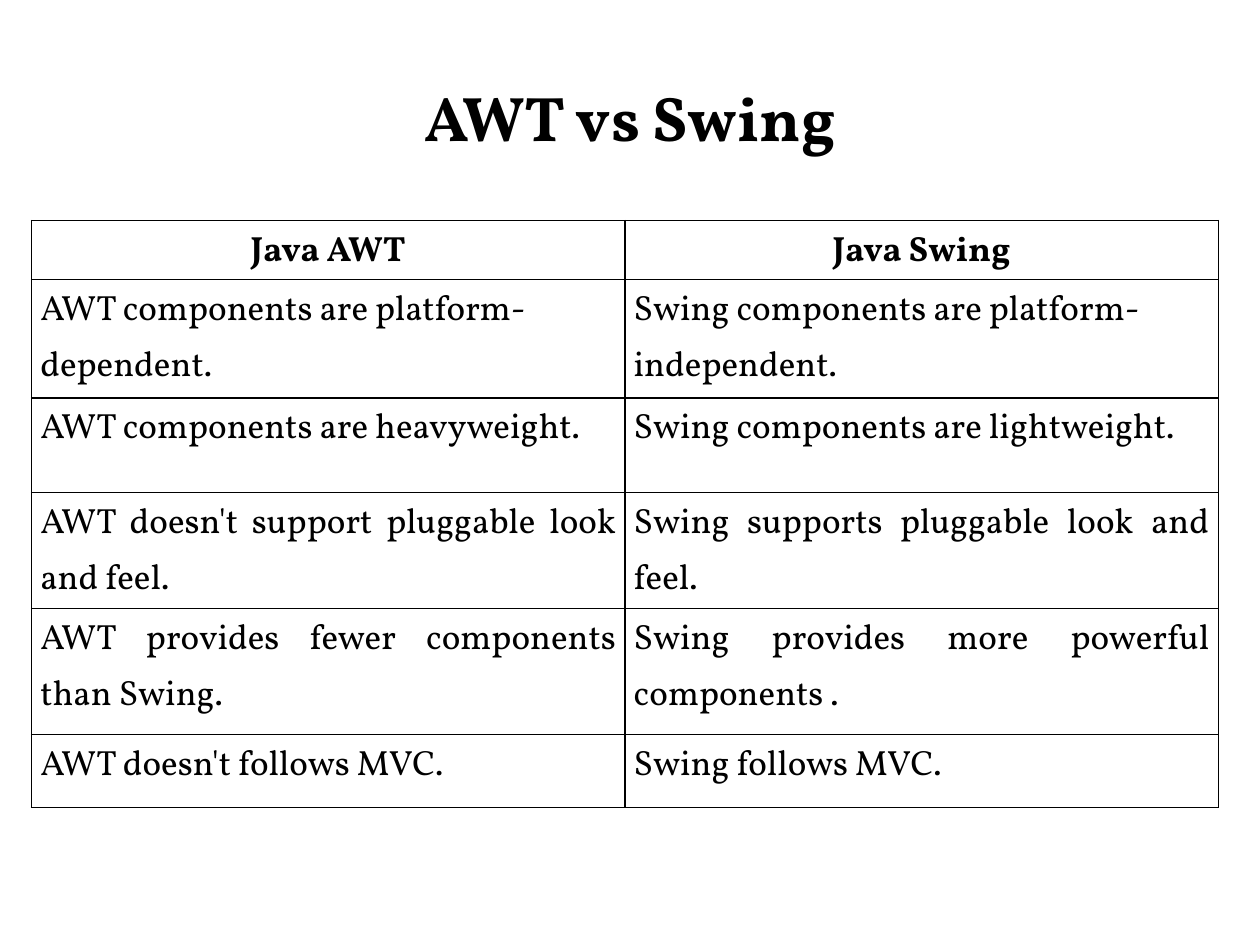
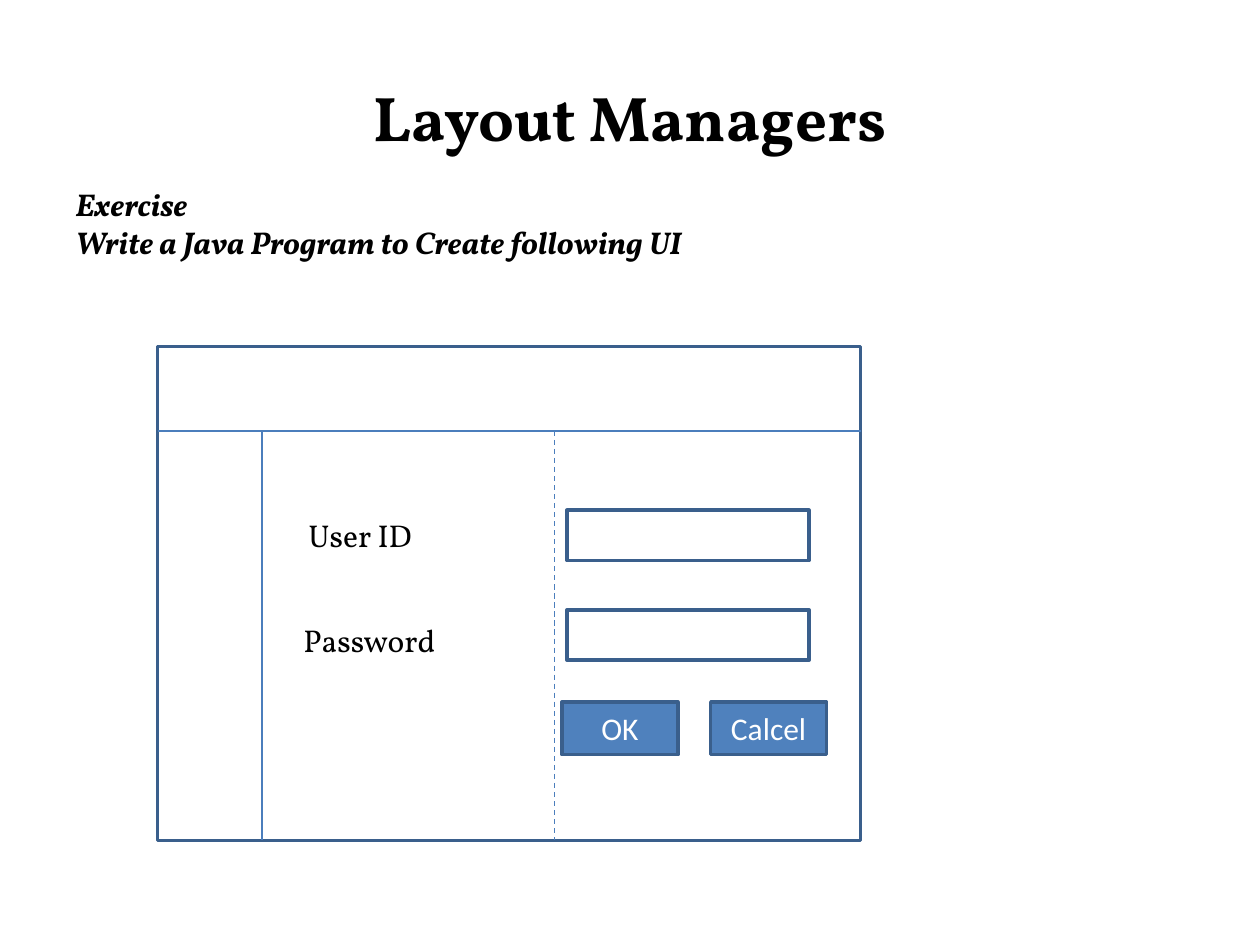
from dataclasses import dataclass

from lxml.etree import SubElement
from pptx import Presentation
from pptx.dml.color import RGBColor
from pptx.enum.dml import MSO_LINE
from pptx.enum.shapes import MSO_CONNECTOR, MSO_SHAPE
from pptx.enum.text import MSO_ANCHOR, PP_ALIGN
from pptx.oxml import parse_xml
from pptx.oxml.ns import nsdecls, qn
from pptx.presentation import Presentation as Deck
from pptx.slide import Slide
from pptx.util import Inches, Pt

COLORS = {
    "ink": "000000",
    "paper": "FFFFFF",
    "button": "4F81BD",
    "outline": "3A5F8C",
    "divider": "4B7EBC",
}
SERIF, SANS = "Vollkorn", "Calibri"


@dataclass(frozen=True)
class TextStyle:
    size: float
    font: str = SERIF
    color: str = "ink"
    bold: bool = False
    italic: bool = False
    align: PP_ALIGN = PP_ALIGN.LEFT


@dataclass(frozen=True)
class Box:
    left: float
    top: float
    width: float
    height: float

    @property
    def right(self) -> float:
        return self.left + self.width

    @property
    def bottom(self) -> float:
        return self.top + self.height

    def lengths(self) -> list[Inches]:
        return [Inches(n) for n in (self.left, self.top, self.width, self.height)]


@dataclass(frozen=True)
class Divider:
    x1: float
    y1: float
    x2: float
    y2: float
    dashed: bool = False


@dataclass(frozen=True)
class ComparisonRow:
    awt: str
    swing: str
    height: float
    align: PP_ALIGN = PP_ALIGN.JUSTIFY
    bold: bool = False


TITLE = TextStyle(36, bold=True, align=PP_ALIGN.CENTER)
EXERCISE = TextStyle(18, bold=True, italic=True, align=PP_ALIGN.JUSTIFY)
LABEL = TextStyle(18)
BUTTON = TextStyle(18, SANS, "paper", align=PP_ALIGN.CENTER)

# Non-breaking spaces hold word pairs together in the justified cells.
COMPARISON = [
    ComparisonRow("Java AWT", "Java Swing", 0.47, PP_ALIGN.CENTER, True),
    ComparisonRow("AWT components are platform-dependent.",
                  "Swing components are platform-independent.", 0.94, PP_ALIGN.LEFT),
    ComparisonRow("AWT components are heavyweight.",
                  "Swing components are lightweight.", 0.75),
    ComparisonRow("AWT doesn't support pluggable look and feel.",
                  "Swing supports pluggable look and feel.", 0.92),
    ComparisonRow("AWT provides fewer components than Swing.",
                  "Swing provides more powerful components .", 1),
    ComparisonRow("AWT doesn't follows MVC.", "Swing follows MVC.", 0.58),
]

WINDOW = Box(1.25, 2.75, 5.58, 3.92)
HEADER_BOTTOM = 3.42
DIVIDERS = [
    Divider(WINDOW.left, HEADER_BOTTOM, WINDOW.right, HEADER_BOTTOM),
    Divider(2.08, HEADER_BOTTOM, 2.08, WINDOW.bottom),
    Divider(4.4, HEADER_BOTTOM, 4.4, WINDOW.bottom, dashed=True),
]
LABELS = {"User ID": Box(2.35, 4.05, 1.67, 0.4), "Password": Box(2.31, 4.88, 1.67, 0.4)}
FIELDS = [Box(4.5, top, 1.92, 0.4) for top in (4.05, 4.84)]
BUTTONS = {"OK": Box(4.46, 5.57, 0.92, 0.42), "Calcel": Box(5.64, 5.57, 0.92, 0.42)}


def rgb(name: str) -> RGBColor:
    return RGBColor.from_string(COLORS[name])


def style_paragraph(paragraph, style: TextStyle) -> None:
    paragraph.alignment = style.align
    font = paragraph.font
    font.size, font.name = Pt(style.size), style.font
    font.bold, font.italic = style.bold, style.italic
    font.color.rgb = rgb(style.color)


def write(frame, lines: list[str], style: TextStyle) -> None:
    frame.word_wrap = True
    frame.text = "\n".join(lines)
    for paragraph in frame.paragraphs:
        style_paragraph(paragraph, style)


def add_text(slide: Slide, box: Box, lines: list[str], style: TextStyle,
             anchor: MSO_ANCHOR = MSO_ANCHOR.TOP) -> None:
    frame = slide.shapes.add_textbox(*box.lengths()).text_frame
    frame.vertical_anchor = anchor
    write(frame, lines, style)


def add_titled_slide(deck: Deck, title: str) -> Slide:
    slide = deck.slides.add_slide(deck.slide_layouts[6])
    slide.background.fill.solid()
    slide.background.fill.fore_color.rgb = rgb("paper")
    add_text(slide, Box(0.5, 0.3, 9, 1.25), [title], TITLE, MSO_ANCHOR.MIDDLE)
    return slide


def add_outlined_box(slide: Slide, box: Box, fill: str | None = None, caption: str = "") -> None:
    outlined = slide.shapes.add_shape(MSO_SHAPE.RECTANGLE, *box.lengths())
    outlined.shadow.inherit = False
    outlined.line.color.rgb = rgb("outline")
    outlined.line.width = Pt(2)
    if fill:
        outlined.fill.solid()
        outlined.fill.fore_color.rgb = rgb(fill)
    else:
        outlined.fill.background()
    if caption:
        outlined.text_frame.vertical_anchor = MSO_ANCHOR.MIDDLE
        write(outlined.text_frame, [caption], BUTTON)


def add_divider(slide: Slide, divider: Divider) -> None:
    ends = [Inches(n) for n in (divider.x1, divider.y1, divider.x2, divider.y2)]
    connector = slide.shapes.add_connector(MSO_CONNECTOR.STRAIGHT, *ends)
    connector.line.color.rgb = rgb("divider")
    connector.line.width = Pt(0.75)
    if divider.dashed:
        connector.line.dash_style = MSO_LINE.DASH
    SubElement(connector._element.spPr, qn("a:effectLst"))


def border_cell(cell) -> None:
    properties = cell._tc.get_or_add_tcPr()
    for position, side in enumerate(("lnL", "lnR", "lnT", "lnB")):
        properties.insert(position, parse_xml(
            f'<a:{side} {nsdecls("a")} w="{Pt(1)}"><a:solidFill>'
            f'<a:srgbClr val="{COLORS["ink"]}"/></a:solidFill></a:{side}>'))


def fill_cell(cell, text: str, style: TextStyle) -> None:
    cell.margin_left = cell.margin_right = Inches(0.07)
    cell.margin_top = cell.margin_bottom = 0
    cell.fill.background()
    border_cell(cell)
    cell.text = text
    paragraph = cell.text_frame.paragraphs[0]
    paragraph.line_spacing = 1.15
    style_paragraph(paragraph, style)


def add_comparison(slide: Slide) -> None:
    box = Box(0.25, 1.75, 9.42, sum(row.height for row in COMPARISON))
    table = slide.shapes.add_table(len(COMPARISON), 2, *box.lengths()).table
    table.first_row = table.horz_banding = False
    for column in table.columns:
        column.width = Inches(box.width / 2)
    for index, row in enumerate(COMPARISON):
        table.rows[index].height = Inches(row.height)
        style = TextStyle(20, bold=row.bold, align=row.align)
        for column, text in enumerate((row.awt, row.swing)):
            fill_cell(table.cell(index, column), text, style)


def add_login_window(slide: Slide) -> None:
    add_outlined_box(slide, WINDOW)
    for divider in DIVIDERS:
        add_divider(slide, divider)
    for label, box in LABELS.items():
        add_text(slide, box, [label], LABEL)
    for field in FIELDS:
        add_outlined_box(slide, field)
    for caption, box in BUTTONS.items():
        add_outlined_box(slide, box, "button", caption)


def main() -> None:
    deck = Presentation()
    deck.slide_width, deck.slide_height = Inches(10), Inches(7.5)
    add_comparison(add_titled_slide(deck, "AWT vs Swing"))

    layout_slide = add_titled_slide(deck, "Layout Managers")
    add_text(layout_slide, Box(0.5, 1.42, 9, 5.67),
             ["Exercise", "Write a Java Program to Create following UI"], EXERCISE)
    add_login_window(layout_slide)
    deck.save("out.pptx")


if __name__ == "__main__":
    main()
